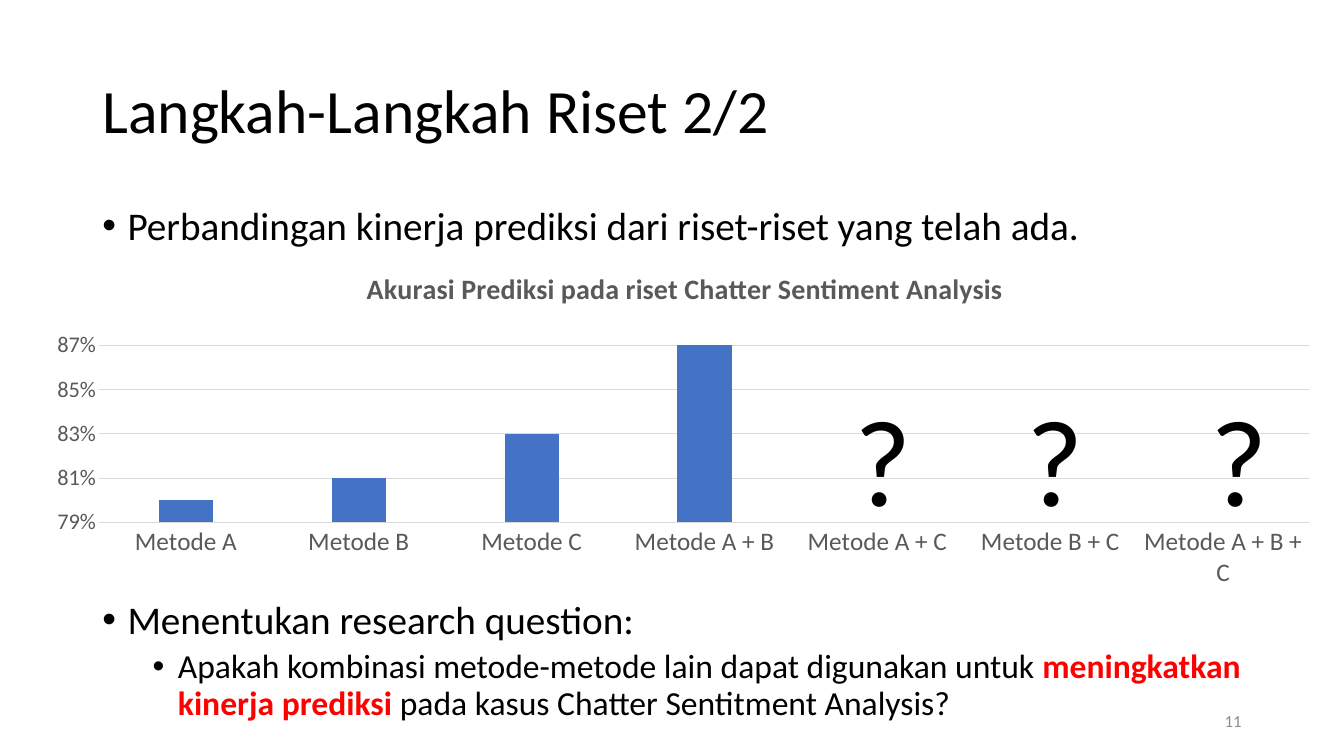
from lxml import etree
from pptx import Presentation
from pptx.chart.data import CategoryChartData
from pptx.dml.color import RGBColor
from pptx.enum.chart import XL_CHART_TYPE as CT, XL_TICK_MARK as TM
from pptx.enum.text import MSO_ANCHOR as MA, PP_ALIGN as PA
from pptx.oxml import parse_xml
from pptx.oxml.ns import nsdecls, qn
from pptx.util import Inches, Pt

COLS, ROWS = 160, 90
FONT = "Calibri"
BLACK, RED, GREY, RULE, BLUE = "000000", "FF0000", "595959", "D9D9D9", "4472C4"

prs = Presentation()
prs.slide_width, prs.slide_height = Inches(13.333), Inches(7.5)
s = prs.slides.add_slide(prs.slide_layouts[6])


def grid(box):
    """Turn columns and rows into slide lengths."""
    x, y, w, h = box
    cw, rh = prs.slide_width / COLS, prs.slide_height / ROWS
    return int(x * cw), int(y * rh), int(w * cw), int(h * rh)


def rgb(value):
    """Return the colour of a hex string."""
    return RGBColor.from_string(value)


def style(font, size, color, bold=False):
    """Set the face, size, colour and weight of a font."""
    font.name, font.size, font.bold = FONT, Pt(size), bold
    font.color.rgb = rgb(color)


def add_text(box, anchor=MA.TOP):
    """Add an empty wrapping text box and return its frame."""
    tf = s.shapes.add_textbox(*grid(box)).text_frame
    tf.word_wrap, tf.vertical_anchor = True, anchor
    return tf


def add_runs(p, size, *runs):
    """Add runs given as text, colour and weight."""
    for text, color, bold in runs:
        r = p.add_run()
        r.text = text
        style(r.font, size, color, bold)


def add_bullet(p, size, left, before, *runs):
    """Fill a paragraph as a bullet with a hanging indent."""
    p.line_spacing, p.space_before = 0.9, Pt(before)
    pPr = p._p.get_or_add_pPr()
    pPr.set("marL", str(Inches(left)))
    pPr.set("indent", str(Inches(-0.25)))
    etree.SubElement(pPr, qn("a:buFont")).set("typeface", "Arial")
    etree.SubElement(pPr, qn("a:buChar")).set("char", "•")
    add_runs(p, size, *runs)


def add_title(box, text):
    """Place the slide title."""
    p = add_text(box, MA.MIDDLE).paragraphs[0]
    p.line_spacing = 0.9
    add_runs(p, 44, (text, BLACK, False))


def add_point(box, text, *detail):
    """Place a main bullet with an optional bullet below it."""
    tf = add_text(box)
    add_bullet(tf.paragraphs[0], 28, 0.25, 10, (text, BLACK, False))
    if detail:
        add_bullet(tf.add_paragraph(), 24, 0.75, 5, *detail)


def style_axes(chart):
    """Format both axes and the gridlines."""
    cat, val = chart.category_axis, chart.value_axis
    for axis, size in ((cat, 18), (val, 16)):
        axis.major_tick_mark = axis.minor_tick_mark = TM.NONE
        style(axis.tick_labels.font, size, GREY)
    for line in (cat.format.line, val.major_gridlines.format.line):
        line.color.rgb, line.width = rgb(RULE), Pt(0.75)
    val.format.line.fill.background()
    val.minimum_scale, val.maximum_scale, val.major_unit = 0.79, 0.88, 0.02
    val.tick_labels.number_format = "0%"
    val.tick_labels.number_format_is_linked = False


def set_plot_area(chart, **shares):
    """Fix the inner plot area as shares of the chart."""
    area = chart._chartSpace.chart.plotArea
    for old in area.findall(qn("c:layout")):
        area.remove(old)
    sizes = "".join(f'<c:{k} val="{v}"/>' for k, v in shares.items())
    area.insert(0, parse_xml(
        f'<c:layout {nsdecls("c")}><c:manualLayout><c:layoutTarget val="inner"/>'
        f'<c:xMode val="edge"/><c:yMode val="edge"/>{sizes}'
        '</c:manualLayout></c:layout>'))


def add_accuracy(box, title, accuracy, mark_offsets):
    """Place the accuracy chart and the marks for unknown results."""
    data = CategoryChartData(number_format="0%")
    data.categories = list(accuracy)
    data.add_series("Akurasi", list(accuracy.values()))
    chart = s.shapes.add_chart(CT.COLUMN_CLUSTERED, *grid(box), data).chart
    style(chart.font, 10, BLACK)
    chart.has_legend = False
    chart.has_title = True
    add_runs(chart.chart_title.text_frame.paragraphs[0], 20, (title, GREY, True))
    chart.chart_title.include_in_layout = False
    plot = chart.plots[0]
    plot.gap_width, plot.overlap, plot.vary_by_categories = 219, -27, False
    fill = plot.series[0].format.fill
    fill.solid()
    fill.fore_color.rgb = rgb(BLUE)
    style_axes(chart)
    set_plot_area(chart, x=0.05, y=0.21, w=0.93, h=0.58)
    x, y = box[:2]
    for dx in mark_offsets:
        tf = add_text((x + dx, y + 15.1, 10.1, 19))
        add_runs(tf.paragraphs[0], 88, ("?", BLACK, False))


def add_number(box, text):
    """Place the slide number."""
    p = add_text(box, MA.MIDDLE).paragraphs[0]
    p.alignment = PA.RIGHT
    add_runs(p, 12, (text, "8C8C8C", False))


add_title((11, 4.8, 138, 17.4), "Langkah-Langkah Riset 2/2")
add_point((11, 24, 138, 6),
          "Perbandingan kinerja prediksi dari riset-riset yang telah ada.")
add_point((11, 70.9, 138, 16.6), "Menentukan research question:",
          ("Apakah kombinasi metode-metode lain dapat digunakan untuk ", BLACK, False),
          ("meningkatkan kinerja prediksi ", RED, True),
          ("pada kasus Chatter Sentitment Analysis?", BLACK, False))
add_number((113, 83.4, 36, 4.8), "11")
add_accuracy((4.1, 29.9, 154.9, 40.9),
             "Akurasi Prediksi pada riset Chatter Sentiment Analysis",
             {"Metode A": 0.8, "Metode B": 0.81, "Metode C": 0.83,
              "Metode A + B": 0.87, "Metode A + C": 0, "Metode B + C": 0,
              "Metode A + B + C": 0},
             (96.5, 116.9, 138.8))

prs.save("out.pptx")
